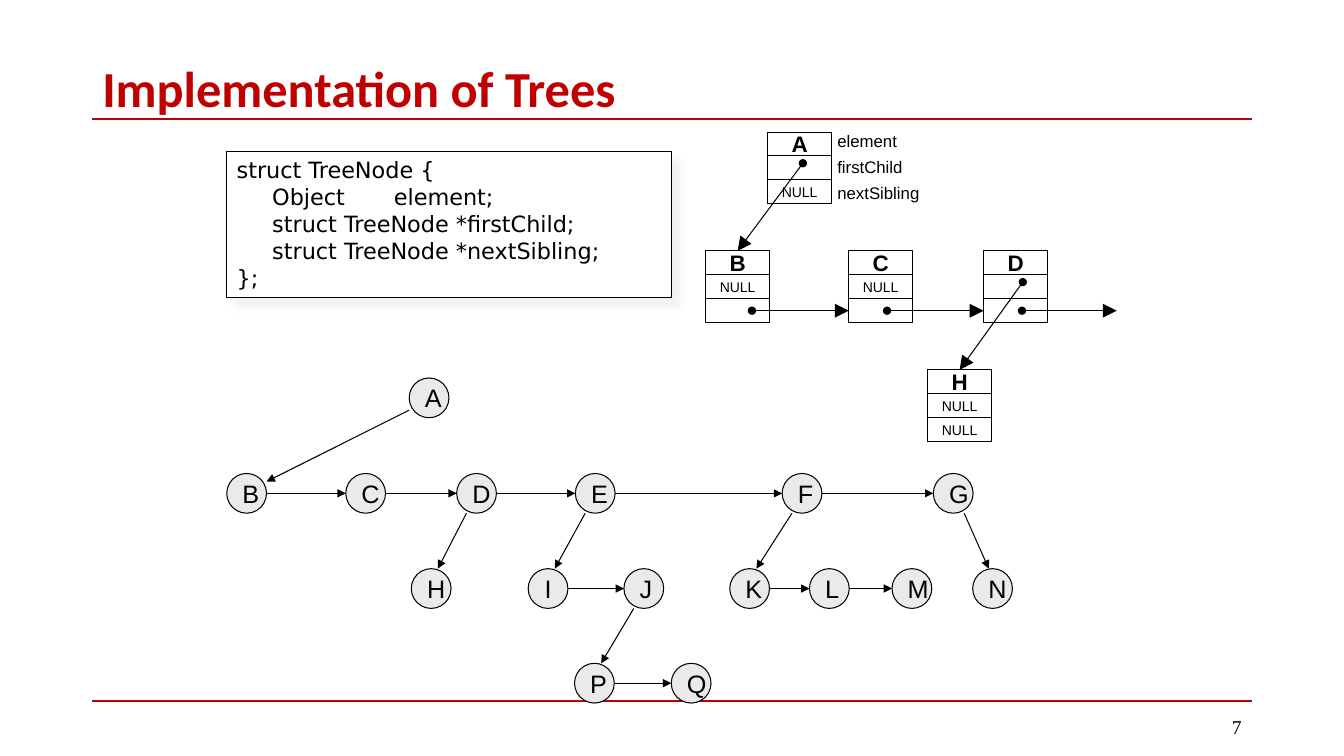
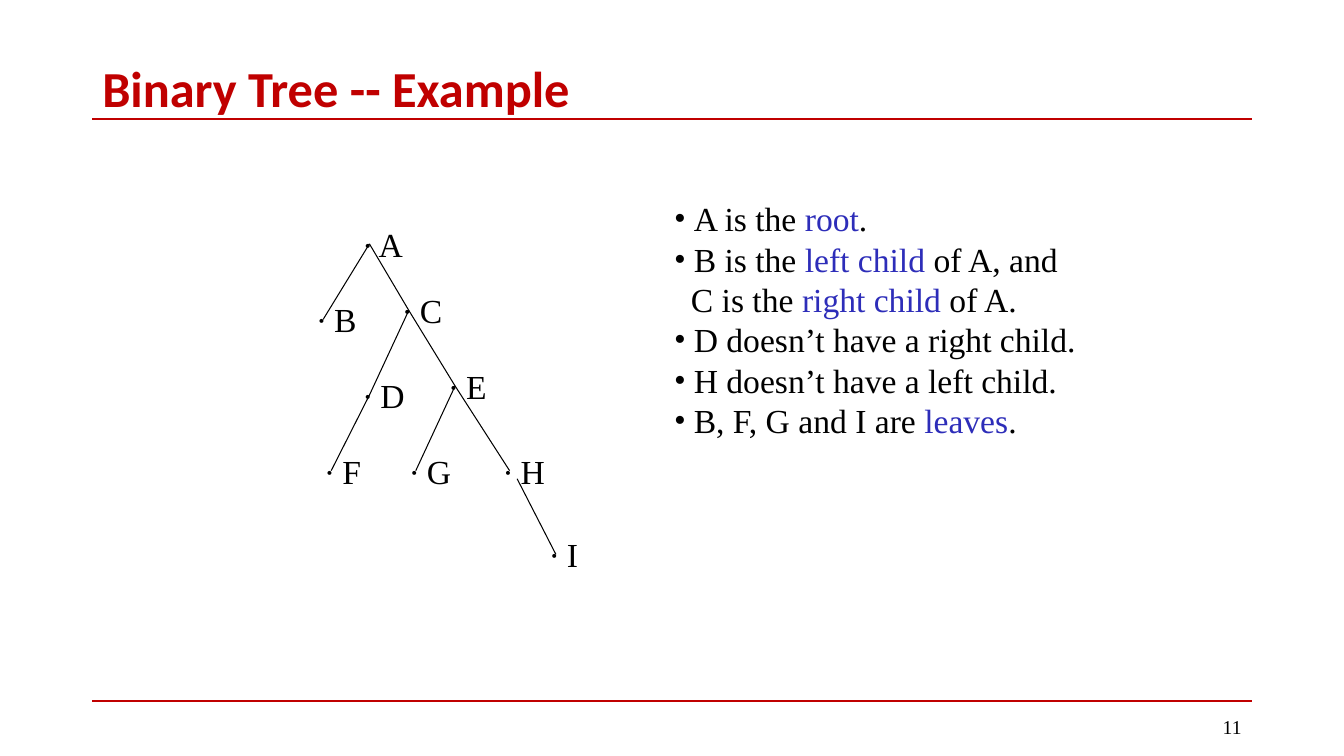
from pptx import Presentation
from pptx.dml.color import RGBColor
from pptx.enum.shapes import MSO_CONNECTOR, MSO_SHAPE
from pptx.enum.text import MSO_ANCHOR, PP_ALIGN
from pptx.oxml.ns import qn
from pptx.util import Pt
from lxml.etree import SubElement

BLACK = RGBColor(0x00, 0x00, 0x00)
WHITE = RGBColor(0xFF, 0xFF, 0xFF)
RED = RGBColor(0xC0, 0x00, 0x00)
BLUE = RGBColor(0x2D, 0x2D, 0xB9)
NODE_GREY = RGBColor(0xEA, 0xEA, 0xEA)
SHADOW_GREY = "E7E6E6"

TITLE = dict(name="Calibri", size=Pt(36), bold=True)
PAGE_NUMBER = dict(name="Times New Roman", size=Pt(14))
CODE = dict(name="DejaVu Sans", size=Pt(16))
NODE = dict(name="Arial", size=Pt(18))
RECORD_NAME = dict(name="Arial", size=Pt(16), bold=True)
RECORD_NULL = dict(name="Arial", size=Pt(10))
FIELD_LABEL = dict(name="Arial", size=Pt(12))
BODY = dict(name="Times New Roman", size=Pt(24))


def points(*values):
    return [Pt(value) for value in values]


def add_run(paragraph, text, font_format, color=BLACK):
    run = paragraph.add_run()
    run.text = text
    for name, value in font_format.items():
        setattr(run.font, name, value)
    run.font.color.rgb = color


def write(shape, text, font_format, color=BLACK, align=PP_ALIGN.LEFT,
          anchor=MSO_ANCHOR.TOP):
    """Fill the first paragraph of a shape and return it."""
    frame = shape.text_frame
    frame.word_wrap = True
    frame.vertical_anchor = anchor
    paragraph = frame.paragraphs[0]
    paragraph.alignment = align
    add_run(paragraph, text, font_format, color)
    return paragraph


def add_text(slide, box, *args, **kwargs):
    return write(slide.shapes.add_textbox(*points(*box)), *args, **kwargs)


def add_outlined(slide, kind, box, fill=None):
    shape = slide.shapes.add_shape(kind, *points(*box))
    shape.shadow.inherit = False
    if fill is None:
        shape.fill.background()
    else:
        shape.fill.solid()
        shape.fill.fore_color.rgb = fill
    shape.line.color.rgb = BLACK
    shape.line.width = Pt(0.75)
    return shape


def add_line(slide, start, end, color=BLACK, width=0.75, head=None, tail=None):
    """Draw a line; tail is the size (med, lg) of a triangle at its end."""
    line = slide.shapes.add_connector(MSO_CONNECTOR.STRAIGHT, *points(*start, *end))
    line.line.color.rgb = color
    line.line.width = Pt(width)
    outline = line.line._get_or_add_ln()
    if head:
        SubElement(outline, qn("a:headEnd"), type=head)
    if tail:
        SubElement(outline, qn("a:tailEnd"), type="triangle", w=tail, len=tail)
    SubElement(line._element.spPr, qn("a:effectLst"))
    return line


def add_base_slide(presentation, title, number):
    slide = presentation.slides.add_slide(presentation.slide_layouts[6])
    for y in (85, 500.4):
        add_line(slide, (66, y), (894, y), RED, 1.5)
    paragraph = add_text(slide, (66, 43.9, 828, 41.8), title, TITLE, RED,
                         anchor=MSO_ANCHOR.MIDDLE)
    paragraph.line_spacing = 0.9
    add_text(slide, (678, 504.7, 216, 28.8), number, PAGE_NUMBER,
             align=PP_ALIGN.RIGHT, anchor=MSO_ANCHOR.MIDDLE)
    return slide


def add_code_box(slide, box):
    shape = add_outlined(slide, MSO_SHAPE.RECTANGLE, box, WHITE)
    effects = shape._element.spPr.find(qn("a:effectLst"))
    shadow = SubElement(effects, qn("a:outerShdw"), blurRad=str(Pt(5)),
                        dist=str(Pt(8.5)), dir=str(45 * 60000), algn="tl")
    color = SubElement(shadow, qn("a:srgbClr"), val=SHADOW_GREY)
    SubElement(color, qn("a:alpha"), val="50000")

    lines = ["struct TreeNode {", "\tObject\telement;",
             "\tstruct TreeNode *firstChild;", "\tstruct TreeNode *nextSibling;", "};"]
    write(shape, lines[0], CODE)
    for text in lines[1:]:
        paragraph = shape.text_frame.add_paragraph()
        paragraph.alignment = PP_ALIGN.LEFT
        tabs = SubElement(paragraph._p.get_or_add_pPr(), qn("a:tabLst"))
        for stop in (25.4, 112.3):
            SubElement(tabs, qn("a:tab"), pos=str(Pt(stop)), algn="l")
        add_run(paragraph, text, CODE)


def add_sibling_tree(slide, left, top):
    """Circles where each row is a chain of siblings below a first child."""
    size = 28.4
    rows = [
        (0, {"A": 130.3}),
        (68.2, {"B": 0, "C": 85, "D": 164.2, "E": 249, "F": 396.7, "G": 504.7}),
        (136.2, {"H": 131.8, "I": 215.3, "J": 283.7, "K": 359.3, "L": 416.2,
                 "M": 475.2, "N": 532.8}),
        (203.8, {"P": 248.4, "Q": 317.5}),
    ]
    places = {name: (left + x, top + y) for y, row in rows for name, x in row.items()}
    for name, (x, y) in places.items():
        circle = add_outlined(slide, MSO_SHAPE.OVAL, (x, y, size, size), NODE_GREY)
        write(circle, name, NODE, align=PP_ALIGN.CENTER, anchor=MSO_ANCHOR.MIDDLE)

    def arrow(parent, start, child, end):
        (x1, y1), (x2, y2) = places[parent], places[child]
        add_line(slide, (x1 + start[0], y1 + start[1]),
                 (x2 + end[0], y2 + end[1]), tail="med")

    for chain in ("BCDEFG", "IJ", "KLM", "PQ"):
        for first, second in zip(chain, chain[1:]):
            arrow(first, (size, size / 2), second, (0, size / 2))
    for parent, child in ("DH", "EI", "FK", "JP"):
        arrow(parent, (7, size), child, (19, 0))
    arrow("G", (22, size), "N", (11.5, 0))
    arrow("A", (0, 23), "B", (size, 5.8))


def add_linked_records(slide, left, top):
    """Three-cell records joined by firstChild and nextSibling pointers."""
    width, height = 45.8, 17.1
    records = {
        "A": (44.3, 4.3, "", "NULL"),
        "B": (0, 89.2, "NULL", ""),
        "C": (102.2, 89.2, "NULL", ""),
        "D": (198.6, 89.2, "", ""),
        "H": (158.6, 174.2, "NULL", "NULL"),
    }
    cells = {}
    for name, (x, y, *fields) in records.items():
        cells[name] = []
        for row, text in enumerate([name, *fields]):
            cell = add_outlined(slide, MSO_SHAPE.RECTANGLE,
                                (left + x, top + y + row * height, width, height))
            if text:
                write(cell, text, RECORD_NULL if row else RECORD_NAME,
                      align=PP_ALIGN.CENTER, anchor=MSO_ANCHOR.MIDDLE)
            cells[name].append(cell)

    links = [("A", 25.2, 22.3, "B", 0, 0), ("D", 28, 22.3, "H", 0, 0),
             ("B", 33.1, 42.75, "C", 2, 1), ("C", 27.4, 42.75, "D", 2, 1),
             ("D", 27.4, 42.75, None, 0, 0)]
    for source, dx, dy, target, row, side in links:
        x, y = left + records[source][0] + dx, top + records[source][1] + dy
        line = add_line(slide, (x, y), (x + 67.7, y), head="oval", tail="lg")
        if target:
            line.end_connect(cells[target][row], side)

    for row, label in enumerate(("element", "firstChild", "nextSibling")):
        add_text(slide, (left + 87, top + row * 18.5, 76, 22), label, FIELD_LABEL)


def add_binary_tree(slide, left, top):
    dot_x, dot_y = 11.2, 18
    nodes = {
        "A": (33.1, 0), "B": (0, 54), "C": (61.2, 47.5),
        "D": (33.1, 108), "E": (94.3, 101.5), "F": (5.8, 162),
        "G": (66.2, 162), "H": (133.2, 162), "I": (166.3, 221.8),
    }
    dots = {name: (left + x + dot_x, top + y + dot_y) for name, (x, y) in nodes.items()}
    for parent, child in ("AB", "AC", "CD", "CE", "DF", "EG", "EH"):
        add_line(slide, dots[parent], dots[child])
    x, y = dots["H"]
    add_line(slide, (x + 5.4, y + 5.8), dots["I"])
    for name, (x, y) in nodes.items():
        add_text(slide, (left + x, top + y, 49, 36.7), f"∙ {name}", BODY)


def add_facts(slide, box):
    facts = [
        (True, ["A is the ", "root", "."]),
        (True, ["B is the ", "left child ", "of A, and"]),
        (False, ["C is the ", "right child ", "of A."]),
        (True, ["D doesn’t have a right child."]),
        (True, ["H doesn’t have a left child."]),
        (True, ["B, F, G and I are ", "leaves", "."]),
    ]
    frame = slide.shapes.add_textbox(*points(*box)).text_frame
    frame.word_wrap = True
    for index, (bulleted, parts) in enumerate(facts):
        paragraph = frame.add_paragraph() if index else frame.paragraphs[0]
        paragraph.line_spacing = Pt(28.8)
        properties = paragraph._p.get_or_add_pPr()
        properties.set("marL", str(Pt(14 if bulleted else 12)))
        if bulleted:
            properties.set("indent", str(-Pt(14)))
            SubElement(properties, qn("a:buFont"), typeface="Times New Roman")
            SubElement(properties, qn("a:buChar"), char="•")
        for position, text in enumerate(parts):
            add_run(paragraph, text, BODY, BLUE if position == 1 else BLACK)


def main():
    presentation = Presentation()
    presentation.slide_width, presentation.slide_height = points(960, 540)

    slide = add_base_slide(presentation, "Implementation of Trees", "7")
    add_code_box(slide, (162, 108, 318, 104.4))
    add_sibling_tree(slide, 162, 270)
    add_linked_records(slide, 504, 90)

    slide = add_base_slide(presentation, "Binary Tree -- Example", "11")
    add_binary_tree(slide, 219.6, 156.2)
    add_facts(slide, (474.5, 138.2, 304.6, 211))

    presentation.save("out.pptx")


if __name__ == "__main__":
    main()
